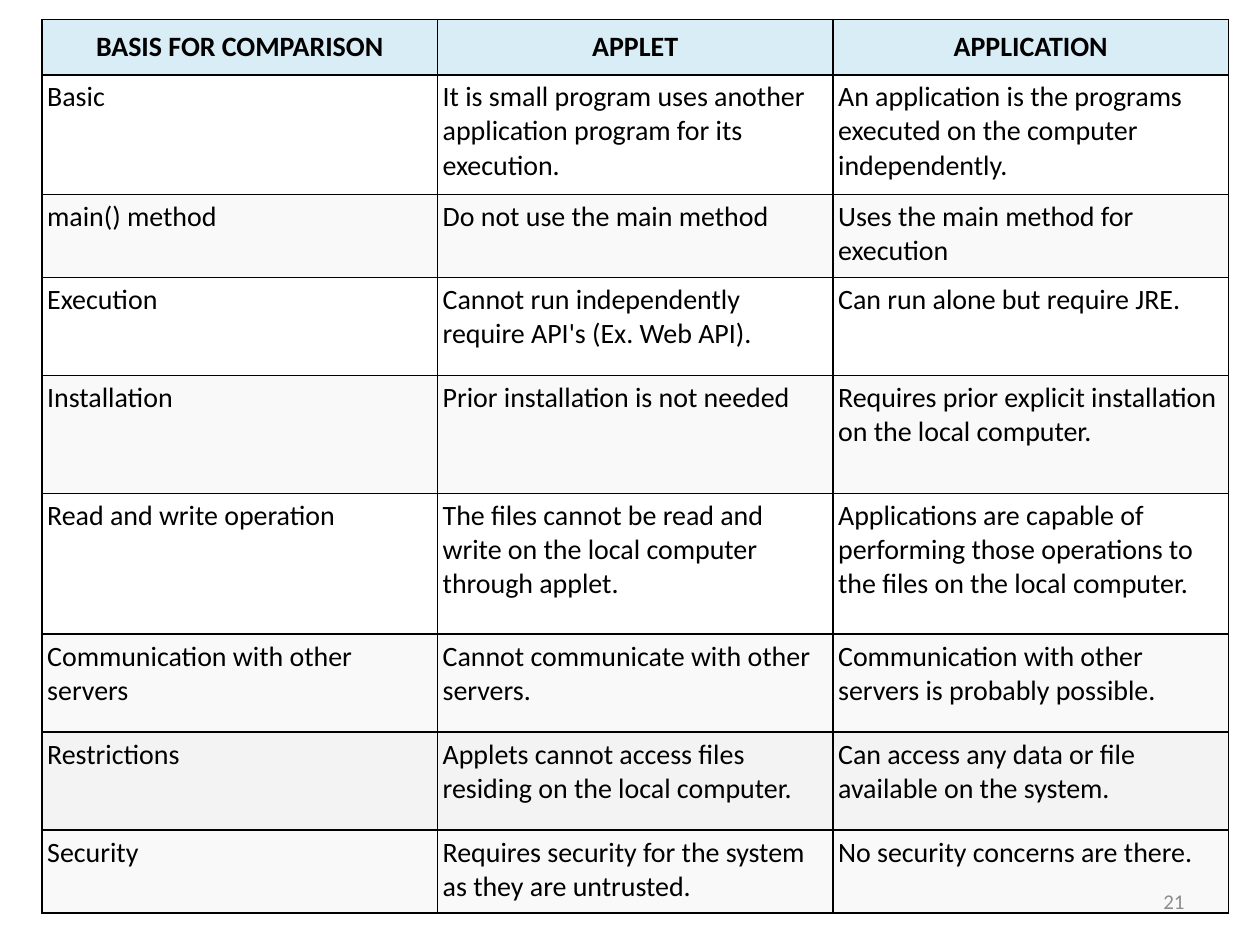
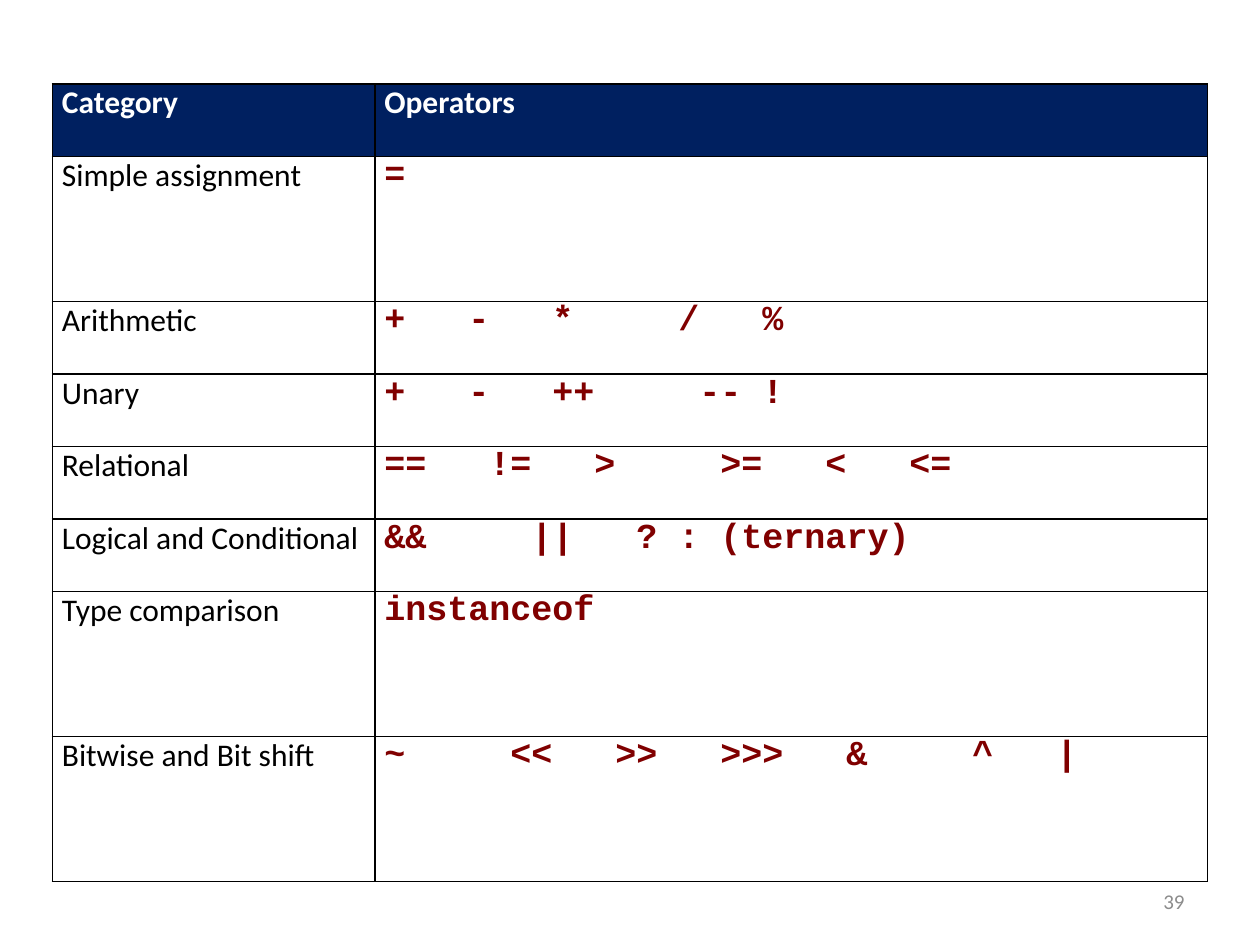
import pptx
import pptx.util
import pptx.dml.color
import pptx.enum.text
import pptx.oxml
import pptx.oxml.ns
from lxml import etree

Pt = pptx.util.Pt
ALIGN = pptx.enum.text.PP_ALIGN
ANCHOR = pptx.enum.text.MSO_ANCHOR

BODY_FONT, CODE_FONT = "Calibri", "Courier New"
BLACK, WHITE, GREY = "000000", "FFFFFF", "8C8C8C"
PALE_BLUE, NAVY, MAROON = "D9EDF7", "002060", "800000"
OFF_WHITE, LIGHT_GREY = "F9F9F9", "F3F3F3"
CODE_SIZE = 20
CODE_CHAR_WIDTH = 0.6 * CODE_SIZE


def color(hex_value):
    return pptx.dml.color.RGBColor.from_string(hex_value)


class Deck:
    """Holds the shared style and the slide being built."""

    def __init__(self):
        self.presentation = pptx.Presentation()
        self.presentation.slide_width = Pt(720)
        self.presentation.slide_height = Pt(540)
        self.slide = None

    def new_slide(self):
        self.slide = self.presentation.slides.add_slide(self.presentation.slide_layouts[6])

    def set_text(self, frame, text, size, ink=BLACK, font=BODY_FONT, bold=False, align=ALIGN.LEFT):
        frame.text = text
        paragraph = frame.paragraphs[0]
        paragraph.alignment = align
        for run in paragraph.runs:
            run.font.name = font
            run.font.size = Pt(size)
            run.font.bold = bold
            run.font.color.rgb = color(ink)

    def page_number(self, number):
        footer = self.slide.shapes.add_textbox(Pt(516), Pt(500.5), Pt(168), Pt(28.75)).text_frame
        footer.word_wrap = True
        footer.vertical_anchor = ANCHOR.MIDDLE
        self.set_text(footer, str(number), 12, GREY, align=ALIGN.RIGHT)

    def table(self, left, top, widths, heights):
        grid = self.slide.shapes.add_table(
            len(heights), len(widths), Pt(left), Pt(top), Pt(sum(widths)), Pt(sum(heights))).table
        grid.first_row = grid.horz_banding = False
        for column, width in zip(grid.columns, widths):
            column.width = Pt(width)
        for row, height in zip(grid.rows, heights):
            row.height = Pt(height)
        return grid

    def cell(self, cell, text, size, fill, side_margin, end_margin, anchor=ANCHOR.TOP, **style):
        cell.margin_left = cell.margin_right = Pt(side_margin)
        cell.margin_top = cell.margin_bottom = Pt(end_margin)
        cell.vertical_anchor = anchor
        self.border(cell)
        cell.fill.solid()
        cell.fill.fore_color.rgb = color(fill)
        self.set_text(cell.text_frame, text, size, **style)

    def border(self, cell):
        properties = cell._tc.get_or_add_tcPr()
        for side in ("lnL", "lnR", "lnT", "lnB"):
            properties.append(pptx.oxml.parse_xml(
                f'<a:{side} {pptx.oxml.ns.nsdecls("a")} w="{Pt(1)}"><a:solidFill>'
                f'<a:srgbClr val="{BLACK}"/></a:solidFill></a:{side}>'))

    def tab_stops(self, cell, positions):
        qn = pptx.oxml.ns.qn
        properties = cell.text_frame.paragraphs[0]._p.get_or_add_pPr()
        stops = etree.SubElement(properties, qn("a:tabLst"))
        for position in positions:
            etree.SubElement(stops, qn("a:tab"), pos=str(Pt(position)), algn="l")


# Each row: fill, height, texts
COMPARISON = [
    (PALE_BLUE, 31.5, ("BASIS FOR COMPARISON", "APPLET", "APPLICATION")),
    (WHITE, 68.5, ("Basic",
                   "It is small program uses another application program for its execution.",
                   "An application is the programs executed on the computer independently.")),
    (OFF_WHITE, 47.25, ("main() method", "Do not use the main method",
                        "Uses the main method for execution")),
    (WHITE, 56, ("Execution", "Cannot run independently require API's (Ex. Web API).",
                 "Can run alone but require JRE.")),
    (OFF_WHITE, 67.5, ("Installation", "Prior installation is not needed",
                       "Requires prior explicit installation on the local computer.")),
    (WHITE, 80.5, ("Read and write operation",
                   "The files cannot be read and write on the local computer through applet.",
                   "Applications are capable of performing those operations to the files "
                   "on the local computer.")),
    (OFF_WHITE, 56, ("Communication with other servers",
                     "Cannot communicate with other servers.",
                     "Communication with other servers is probably possible.")),
    (LIGHT_GREY, 56, ("Restrictions",
                      "Applets cannot access files residing on the local computer.",
                      "Can access any data or file available on the system.")),
    (OFF_WHITE, 47.25, ("Security", "Requires security for the system as they are untrusted.",
                        "No security concerns are there.")),
]

# Each row: category, height in units, operators with their character column
OPERATORS = [
    ("Simple assignment", 2, {"=": 0}),
    ("Arithmetic", 1, {"+": 0, "-": 4, "*": 8, "/": 14, "%": 18}),
    ("Unary", 1, {"+": 0, "-": 4, "++": 8, "--": 15, "!": 18}),
    ("Relational", 1, {"==": 0, "!=": 5, ">": 10, ">=": 16, "<": 21, "<=": 25}),
    ("Logical and Conditional", 1, {"&&": 0, "||": 7, "? : (ternary)": 12}),
    ("Type comparison", 2, {"instanceof": 0}),
    ("Bitwise and Bit shift", 2,
     {"~": 0, "<<": 6, ">>": 11, ">>>": 16, "&": 22, "^": 28, "|": 32}),
]


def comparison_slide(deck):
    deck.new_slide()
    comparison = deck.table(24, 11.25, [226] * 3, [height for _, height, _ in COMPARISON])
    for index, (fill, _, texts) in enumerate(COMPARISON):
        heading = {"bold": True, "align": ALIGN.CENTER, "anchor": ANCHOR.MIDDLE} if index == 0 else {}
        for column, text in enumerate(texts):
            deck.cell(comparison.cell(index, column), text, 16, fill, 3, 3, **heading)
    deck.page_number(21)


def operators_slide(deck):
    deck.new_slide()
    unit = 456 / 11
    heights = [unit] + [units * unit for _, units, _ in OPERATORS]
    operators = deck.table(30, 48, [184.25, 475.75], heights)
    for column, heading in enumerate(("Category", "Operators")):
        deck.cell(operators.cell(0, column), heading, 18, NAVY, 5.4, 0, ink=WHITE, bold=True)
    for index, (category, _, symbols) in enumerate(OPERATORS, start=1):
        deck.cell(operators.cell(index, 0), category, 18, WHITE, 5.4, 0)
        symbol_cell = operators.cell(index, 1)
        deck.cell(symbol_cell, "\t".join(symbols), CODE_SIZE, WHITE, 5.4, 0,
                  ink=MAROON, font=CODE_FONT, bold=True)
        deck.tab_stops(symbol_cell, [place * CODE_CHAR_WIDTH for place in symbols.values() if place])
    deck.page_number(39)


def main():
    deck = Deck()
    comparison_slide(deck)
    operators_slide(deck)
    deck.presentation.save("out.pptx")


if __name__ == "__main__":
    main()
